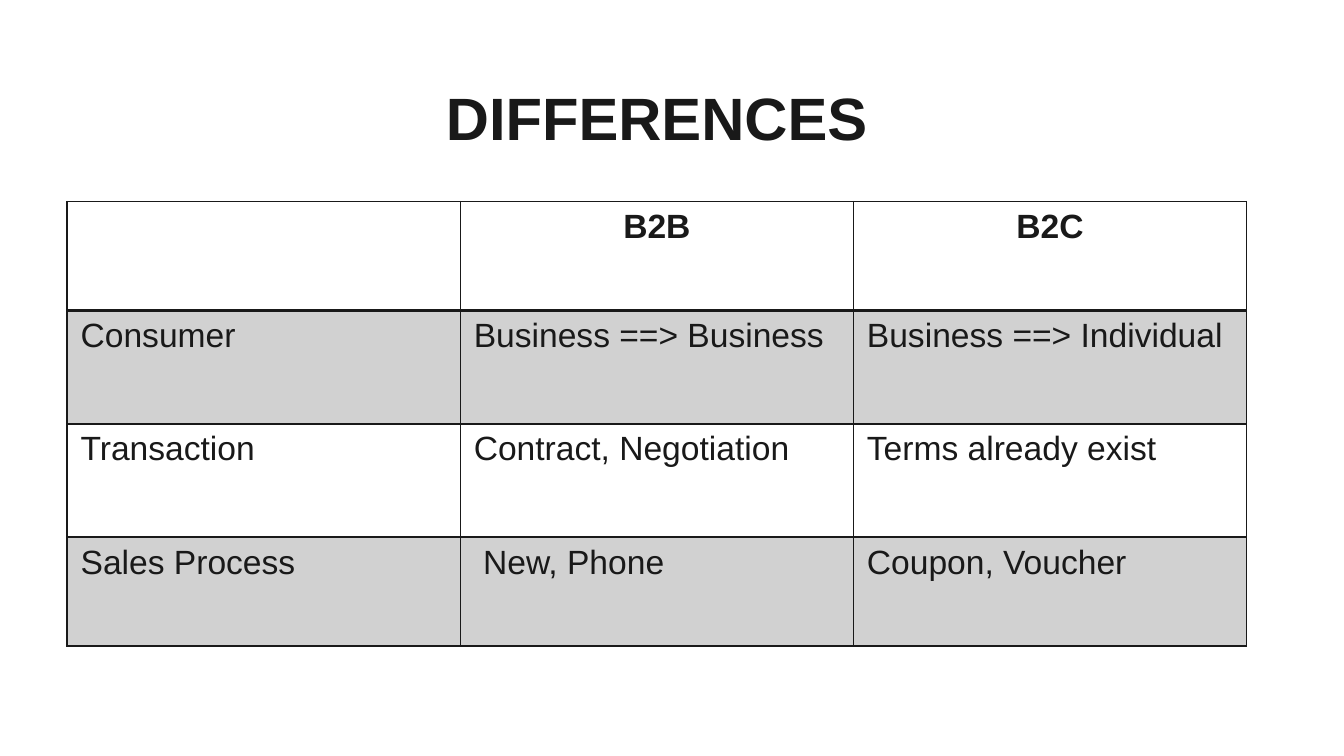
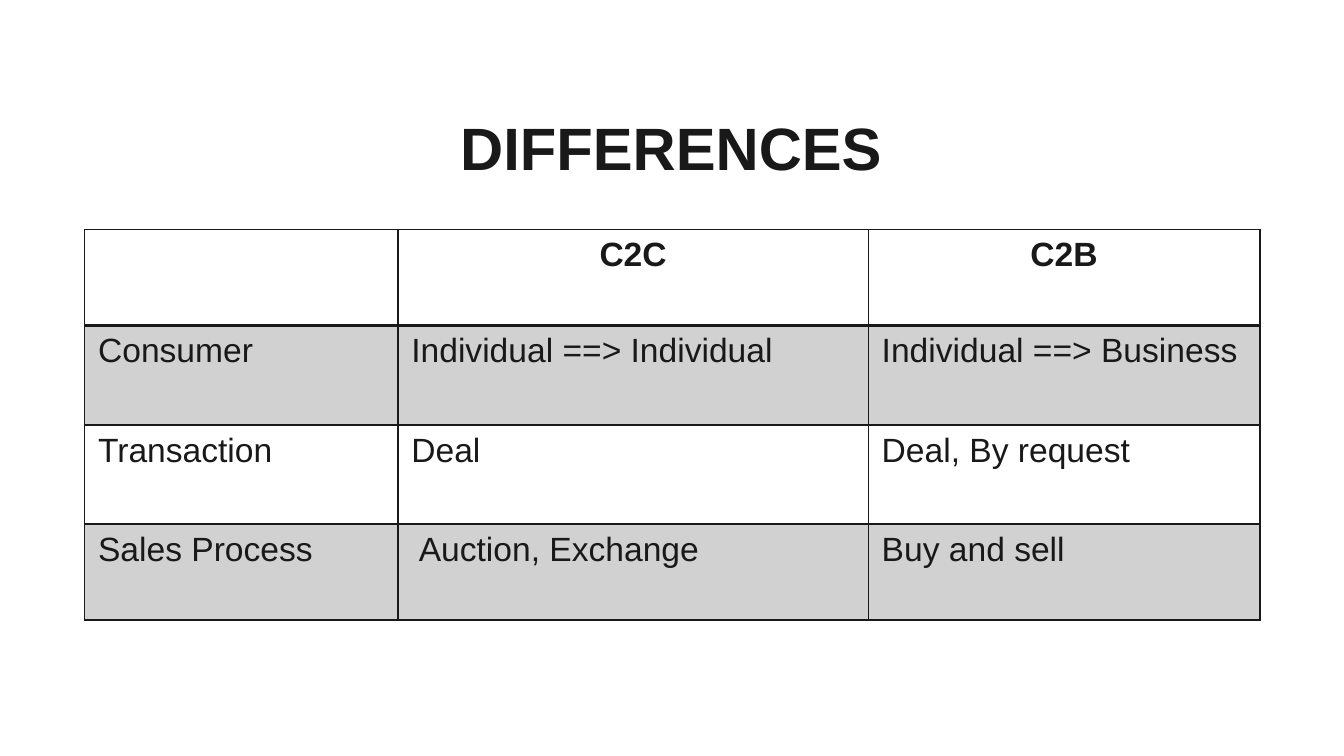
from lxml import etree
from pptx import Presentation
from pptx import util as u
from pptx.dml.color import RGBColor
from pptx.enum import text
from pptx.oxml.ns import qn

INK = "191919"
FONT = "Arial"
SHADE_OPACITY = 20
TITLE_HEIGHT = 1.63
TOPICS = ("Consumer", "Transaction", "Sales Process")


def rgb(hex_color):
    return RGBColor.from_string(hex_color)


def write(frame, words, size=18, bold=False, align=text.PP_ALIGN.LEFT):
    paragraph = frame.paragraphs[0]
    paragraph.alignment = align
    run = paragraph.add_run()
    run.text = words
    run.font.name = FONT
    run.font.size = u.Pt(size)
    run.font.bold = bold
    run.font.color.rgb = rgb(INK)


def add_title(slide, words, left, top, width):
    title = slide.shapes.title
    title.left, title.top = u.Cm(left), u.Cm(top)
    title.width, title.height = u.Cm(width), u.Cm(TITLE_HEIGHT)
    frame = title.text_frame
    frame.word_wrap = True
    frame.auto_size = text.MSO_AUTO_SIZE.SHAPE_TO_FIT_TEXT
    frame.vertical_anchor = text.MSO_ANCHOR.TOP
    write(frame, words, size=32, bold=True, align=text.PP_ALIGN.CENTER)


def shade(cell):
    """Fill the cell with a translucent tint of the ink colour."""
    cell.fill.solid()
    cell.fill.fore_color.rgb = rgb(INK)
    color = cell._tc.tcPr.find(f".//{qn('a:srgbClr')}")
    etree.SubElement(color, qn("a:alpha"), val=str(SHADE_OPACITY * 1000))


def outline(cell, top=1, bottom=1):
    """Draw the four borders; top and bottom widths are in points."""
    properties = cell._tc.get_or_add_tcPr()
    widths = {"lnL": 1, "lnR": 1, "lnT": top, "lnB": bottom}
    for position, (side, width) in enumerate(widths.items()):
        line = etree.Element(qn(f"a:{side}"), w=str(u.Pt(width)))
        fill = etree.SubElement(line, qn("a:solidFill"))
        etree.SubElement(fill, qn("a:srgbClr"), val=INK)
        properties.insert(position, line)


def add_comparison(slide, left, top, columns, rows, models, answers):
    """Add a table comparing two business models on each topic."""
    content = [("", *models)]
    content += [(topic, *pair) for topic, pair in zip(TOPICS, answers)]
    table = slide.shapes.add_table(
        len(rows), len(columns), u.Cm(left), u.Cm(top),
        u.Cm(sum(columns)), u.Cm(sum(rows))).table
    table.first_row = table.horz_banding = False
    for column, width in zip(table.columns, columns):
        column.width = u.Cm(width)
    for index, (row, height, entries) in enumerate(
            zip(table.rows, rows, content)):
        row.height = u.Cm(height)
        header = index == 0
        for cell, words in zip(row.cells, entries):
            if index % 2:
                shade(cell)
            else:
                cell.fill.background()
            outline(cell, top=2 if index == 1 else 1, bottom=2 if header else 1)
            if words:
                align = text.PP_ALIGN.CENTER if header else text.PP_ALIGN.LEFT
                write(cell.text_frame, words, bold=header, align=align)


def main():
    deck = Presentation()
    deck.slide_width, deck.slide_height = u.Cm(25.4), u.Cm(14.29)
    title_only = deck.slide_layouts[5]

    business = deck.slides.add_slide(title_only)
    add_comparison(
        business, 1.27, 3.81, [7.43] * 3, (2.06, 2.14, 2.14, 2.06),
        ("B2B", "B2C"),
        [("Business ==> Business", "Business ==> Individual"),
         ("Contract, Negotiation", "Terms already exist"),
         (" New, Phone", "Coupon, Voucher")])
    add_title(business, "DIFFERENCES", 7.54, 1.4, 9.75)

    consumer = deck.slides.add_slide(title_only)
    add_comparison(
        consumer, 1.6, 4.34, (5.92, 8.89, 7.4), (1.81, 1.88, 1.88, 1.81),
        ("C2C", "C2B"),
        [("Individual ==> Individual", "Individual ==> Business"),
         ("Deal", "Deal, By request"),
         (" Auction, Exchange", "Buy and sell")])
    add_title(consumer, "DIFFERENCES", 7.95, 1.96, 9.47)

    deck.save("out.pptx")


if __name__ == "__main__":
    main()
